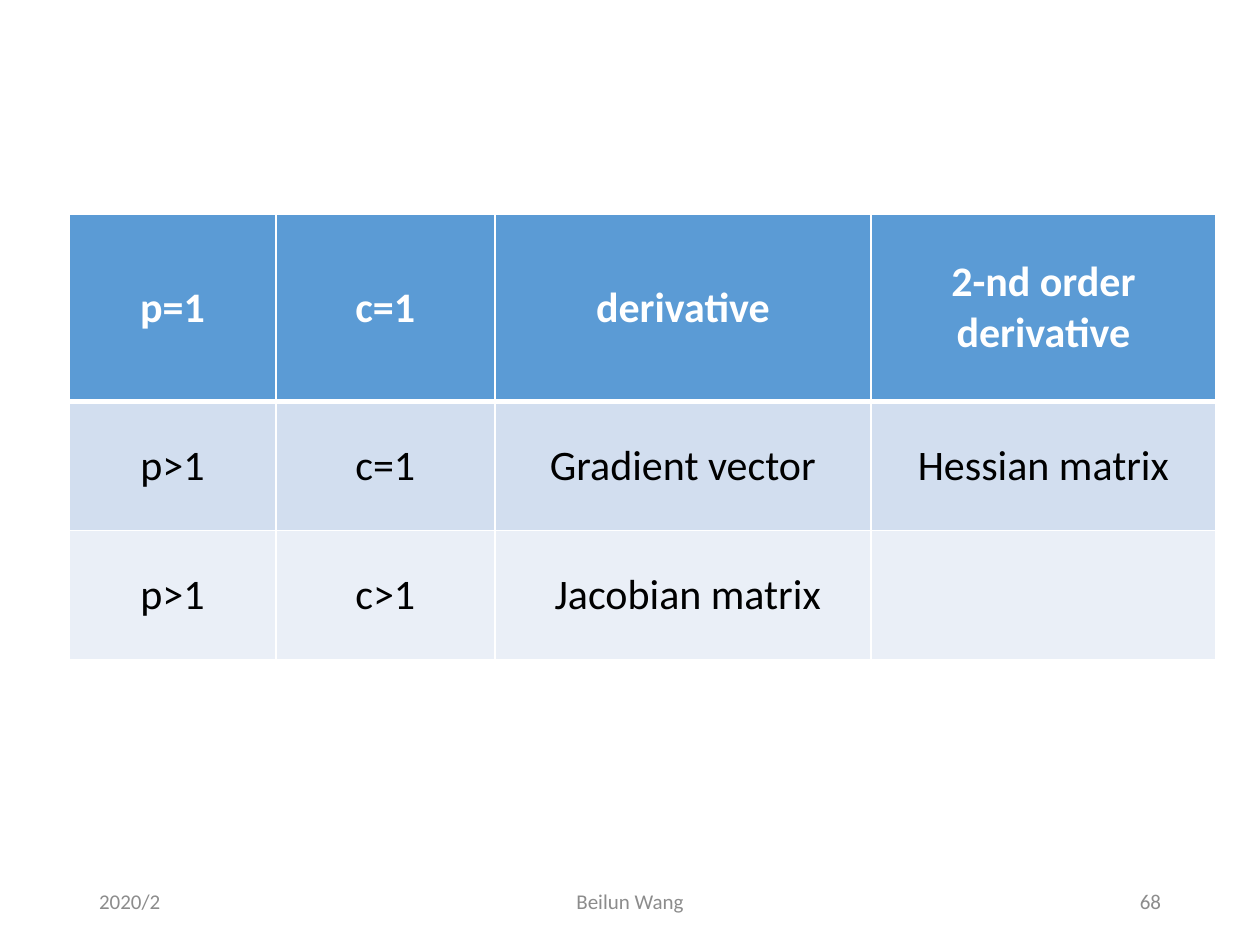
from lxml import etree
from pptx import Presentation
from pptx.dml.color import RGBColor
from pptx.enum.text import MSO_ANCHOR, PP_ALIGN
from pptx.oxml.ns import qn
from pptx.util import Pt

LEFT, CENTER, RIGHT = PP_ALIGN.LEFT, PP_ALIGN.CENTER, PP_ALIGN.RIGHT
MIDDLE = MSO_ANCHOR.MIDDLE
WHITE = RGBColor(0xFF, 0xFF, 0xFF)
BLACK = RGBColor(0x00, 0x00, 0x00)
GRAY = RGBColor(0x8C, 0x8C, 0x8C)
HEADER_BLUE = RGBColor(0x5B, 0x9B, 0xD5)
BAND_DARK = RGBColor(0xD2, 0xDE, 0xEF)
BAND_LIGHT = RGBColor(0xEA, 0xEF, 0xF7)

DERIVATIVES = [
    ["p=1", "c=1", "derivative", "2-nd order derivative"],
    ["p>1", "c=1", "Gradient vector", "Hessian matrix"],
    ["p>1", "c>1", " Jacobian matrix", ""],
]
ROW_FILLS = [HEADER_BLUE, BAND_DARK, BAND_LIGHT]
COLUMN_WIDTHS = [118, 125.2, 215, 197]
ROW_HEIGHTS = [107.2, 73.6, 73.6]
TABLE_LEFT, TABLE_TOP = 39.6, 122.4

FOOTER = [
    ("2020/2", 49.5, 162, LEFT),
    ("Beilun Wang", 238.5, 243, CENTER),
    ("68", 508.5, 162, RIGHT),
]
FOOTER_TOP, FOOTER_HEIGHT = 500.5, 28.8


def write_text(frame, text, size=24, color=BLACK, bold=False, align=CENTER):
    frame.word_wrap = True
    paragraph = frame.paragraphs[0]
    paragraph.alignment = align
    run = paragraph.add_run()
    run.text = text
    run.font.name = "Calibri"
    run.font.size = Pt(size)
    run.font.bold = bold
    run.font.color.rgb = color


def set_borders(cell, widths):
    properties = cell._tc.get_or_add_tcPr()
    for index, (side, width) in enumerate(widths.items()):
        line = etree.Element(qn(f"a:ln{side}"), w=str(Pt(width)))
        solid = etree.SubElement(line, qn("a:solidFill"))
        etree.SubElement(solid, qn("a:srgbClr"), val=str(WHITE))
        properties.insert(index, line)


def add_derivative_table(slide):
    table = slide.shapes.add_table(
        len(ROW_HEIGHTS), len(COLUMN_WIDTHS), Pt(TABLE_LEFT), Pt(TABLE_TOP),
        Pt(sum(COLUMN_WIDTHS)), Pt(sum(ROW_HEIGHTS))).table
    for column, width in zip(table.columns, COLUMN_WIDTHS):
        column.width = Pt(width)
    for r, (labels, fill) in enumerate(zip(DERIVATIVES, ROW_FILLS)):
        table.rows[r].height = Pt(ROW_HEIGHTS[r])
        header = r == 0
        for c, label in enumerate(labels):
            cell = table.cell(r, c)
            cell.vertical_anchor = MIDDLE
            cell.fill.solid()
            cell.fill.fore_color.rgb = fill
            set_borders(cell, {"L": 1, "R": 1, "T": 3 if r == 1 else 1, "B": 3 if header else 1})
            if label:
                write_text(cell.text_frame, label, color=WHITE if header else BLACK, bold=header)


def add_footer(slide):
    for text, left, width, align in FOOTER:
        box = slide.shapes.add_textbox(Pt(left), Pt(FOOTER_TOP), Pt(width), Pt(FOOTER_HEIGHT))
        box.text_frame.vertical_anchor = MIDDLE
        write_text(box.text_frame, text, size=12, color=GRAY, align=align)


def main():
    deck = Presentation()
    deck.slide_width, deck.slide_height = Pt(720), Pt(540)
    slide = deck.slides.add_slide(deck.slide_layouts[6])
    add_footer(slide)
    add_derivative_table(slide)
    deck.save("out.pptx")


if __name__ == "__main__":
    main()
